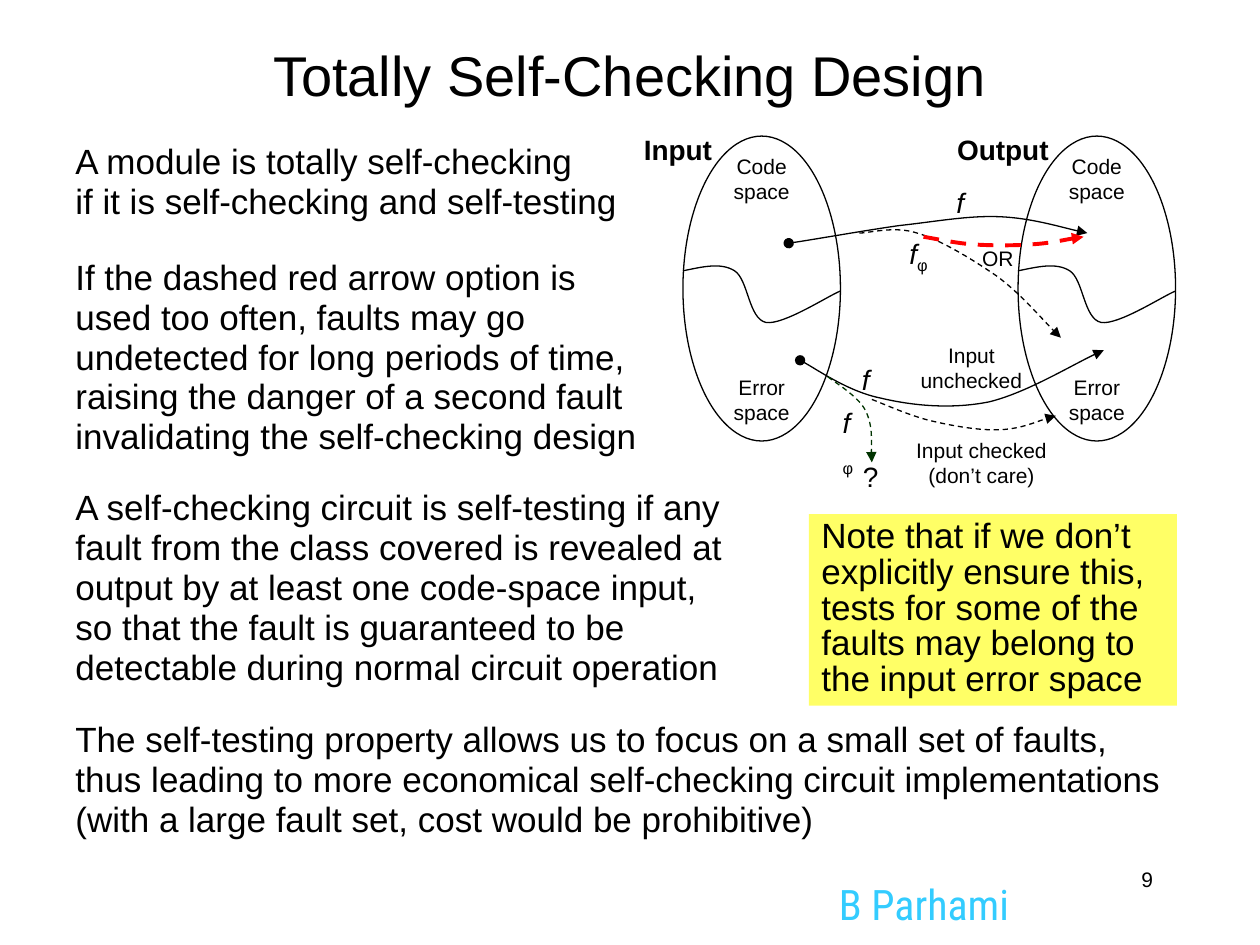
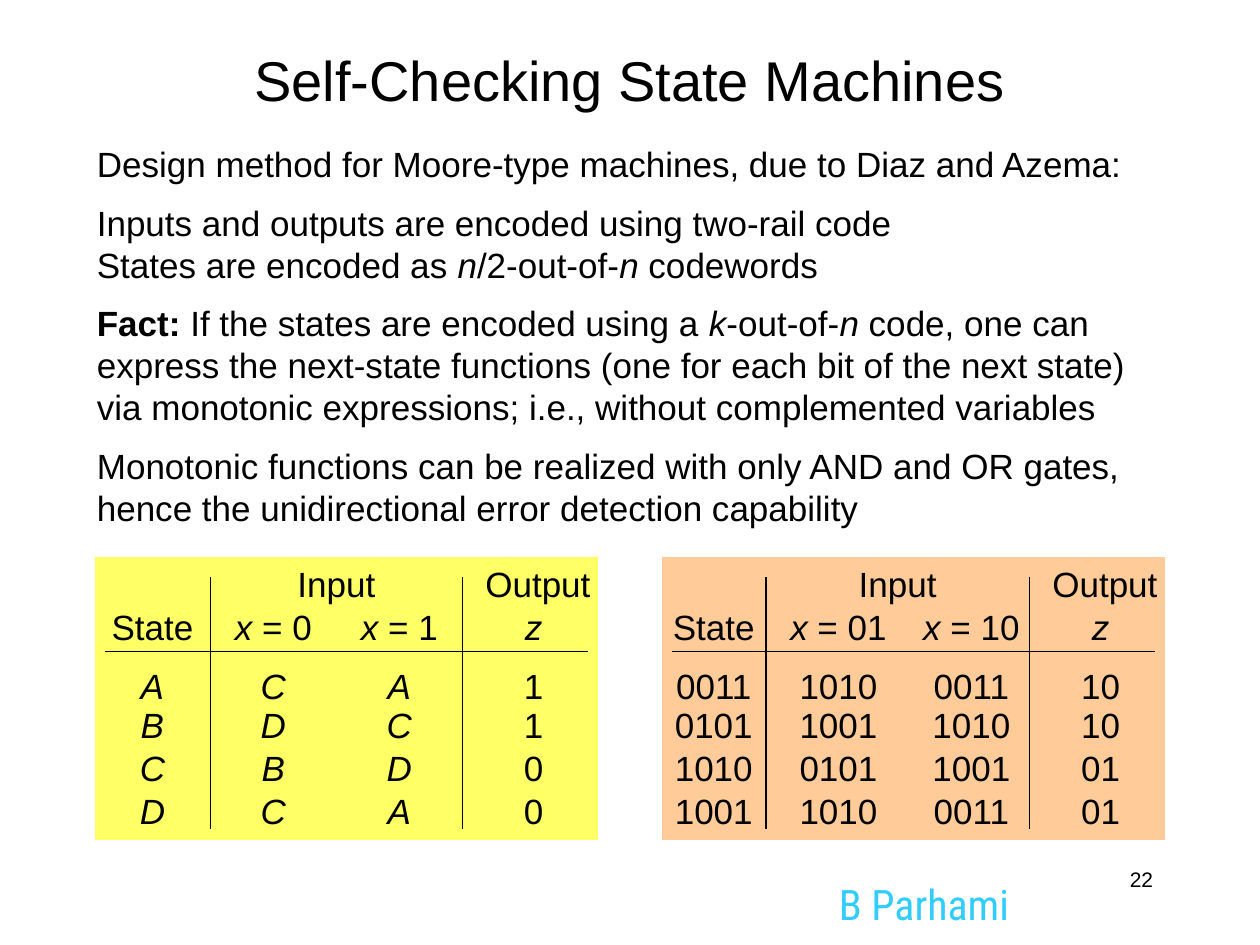
from pptx import Presentation
from pptx.dml.color import RGBColor
from pptx.enum.dml import MSO_LINE
from pptx.enum.shapes import MSO_CONNECTOR, MSO_SHAPE
from pptx.enum.text import MSO_ANCHOR, PP_ALIGN
from pptx.oxml.ns import qn
from pptx.util import Inches, Pt
from lxml.etree import SubElement

COLORS = {
    "ink": "000000", "paper": "FFFFFF", "footer": "33CCFF", "yellow": "FFFF66",
    "peach": "FFCC99", "red": "FF0000", "green": "003300",
}
FONT = "Arial"
ITALIC = {"italic": True}
BOLD = {"bold": True}
F_PHI = [("f", ITALIC), ("φ", {"baseline": "-25000"})]
PLAIN_TABLE = "{2D5ABB26-0587-4C30-8999-92F81FD0307C}"


def rgb(name):
    return RGBColor.from_string(COLORS[name])


def add_runs(p, content, size, color="ink", font=FONT):
    """Fill a paragraph from a string or a list of strings and (text, format) pairs."""
    for piece in [content] if isinstance(content, str) else content:
        text, extra = (piece, {}) if isinstance(piece, str) else piece
        r = p.add_run()
        r.text = text
        r.font.color.rgb = rgb(color)
        for name, value in {"size": Pt(size), "name": font, **extra}.items():
            if name == "baseline":
                r._r.get_or_add_rPr().set(name, value)
            else:
                setattr(r.font, name, value)


def write(sp, paragraphs, size=20, color="ink", font=FONT, wrap=True,
          anchor=MSO_ANCHOR.TOP, **para):
    """Put paragraphs in a shape; para holds paragraph format values."""
    tf = sp.text_frame
    tf.word_wrap = wrap
    tf.vertical_anchor = anchor
    for i, content in enumerate(paragraphs):
        p = tf.add_paragraph() if i else tf.paragraphs[0]
        for name, value in {"alignment": PP_ALIGN.LEFT, **para}.items():
            setattr(p, name, value)
        add_runs(p, content, size, color, font)
    return tf


def add_text(s, box, *paragraphs, **options):
    sp = s.shapes.add_textbox(*map(Inches, box))
    return write(sp, paragraphs, **options)


def add_block(s, kind, box, fill, outlined=False):
    sp = s.shapes.add_shape(kind, *map(Inches, box))
    sp.shadow.inherit = False
    sp.fill.solid()
    sp.fill.fore_color.rgb = rgb(fill)
    if outlined:
        sp.line.color.rgb = rgb("ink")
        sp.line.width = Pt(0.75)
    else:
        sp.line.fill.background()
    return sp


def add_curve(s, left, top, points, color="ink", width=0.75, dashed=False,
              head=None, tail=None):
    """Draw a Bezier chain: a start point, then three points for each curve."""
    points = [(Inches(left + x), Inches(top + y)) for x, y in points]
    builder = s.shapes.build_freeform(*points[0])
    builder.add_line_segments(points[1:], close=False)
    sp = builder.convert_to_shape()
    sp.shadow.inherit = False
    sp.fill.background()
    sp.line.color.rgb = rgb(color)
    sp.line.width = Pt(width)
    if dashed:
        sp.line.dash_style = MSO_LINE.DASH
    outline = sp.element.find(".//" + qn("a:path"))
    steps = outline.findall(qn("a:lnTo"))
    for i in range(0, len(steps), 3):
        bezier = SubElement(outline, qn("a:cubicBezTo"))
        for step in steps[i:i + 3]:
            bezier.append(step[0])
            outline.remove(step)
    ln = sp.element.find(".//" + qn("a:ln"))
    for tag, end in (("a:headEnd", head), ("a:tailEnd", tail)):
        if end:
            SubElement(ln, qn(tag)).set("type", end)


def add_rule(s, x1, y1, x2, y2):
    line = s.shapes.add_connector(MSO_CONNECTOR.STRAIGHT, *map(Inches, (x1, y1, x2, y2)))
    line.line.color.rgb = rgb("ink")
    line.line.width = Pt(0.75)
    SubElement(line.element.spPr, qn("a:effectLst"))


def start_slide(prs, title, title_height, number):
    """Add a slide with its title, author footer and page number."""
    s = prs.slides.add_slide(prs.slide_layouts[6])
    add_text(s, (6.56, 6.92, 1.9, 0.5), "B Parhami", size=24, color="footer",
             font="Roboto Condensed")
    add_text(s, (0.75, 0.25, 8.5, title_height), title, size=32,
             anchor=MSO_ANCHOR.MIDDLE, alignment=PP_ALIGN.CENTER)
    add_text(s, (7.17, 6.83, 2.08, 0.5), str(number), size=12,
             alignment=PP_ALIGN.RIGHT)
    return s


def add_space(s, left, top):
    """Draw an oval split into code space and error space."""
    add_block(s, MSO_SHAPE.OVAL, (left, top, 1.25, 2.42), "paper", outlined=True)
    add_curve(s, left, top, [
        (0, 1.07), (0.15, 1.04), (0.3, 1), (0.41, 1.07), (0.52, 1.14),
        (0.52, 1.45), (0.66, 1.48), (0.8, 1.5), (1.15, 1.27), (1.25, 1.23)])
    for label, y in (("Code space", 0.09), ("Error space", 1.84)):
        add_text(s, (left + 0.25, top + y, 0.75, 0.5), label, size=12,
                 alignment=PP_ALIGN.CENTER)


def add_mapping_diagram(s, left, top):
    """Show how f and its faulty version map input spaces to output spaces."""
    for x in (0.75, 3.41):
        add_space(s, left + x, top + 0.08)

    arrow = {"tail": "triangle"}
    normal = {"head": "oval", **arrow}
    faulty = {"dashed": True, **arrow}
    curves = [
        (normal, [(1.59, 0.93), (1.74, 0.91), (2.19, 0.83), (2.47, 0.79), (2.75, 0.76),
                  (3.01, 0.71), (3.26, 0.72), (3.51, 0.73), (3.81, 0.82), (3.96, 0.85)]),
        (faulty, [(2.15, 0.85), (2.23, 0.85), (2.43, 0.79), (2.61, 0.85), (2.79, 0.9),
                  (3.05, 1.06), (3.24, 1.19), (3.43, 1.33), (3.64, 1.58), (3.75, 1.68)]),
        ({"color": "red", "width": 2.25, **faulty},
         [(2.66, 0.88), (2.73, 0.89), (2.91, 0.93), (3.05, 0.94), (3.2, 0.95),
          (3.38, 0.95), (3.52, 0.94), (3.67, 0.93), (3.84, 0.89), (3.93, 0.88)]),
        (normal, [(1.68, 1.86), (1.78, 1.91), (2.07, 2.11), (2.32, 2.16), (2.57, 2.22),
                  (2.88, 2.25), (3.18, 2.19), (3.47, 2.12), (3.9, 1.86), (4.09, 1.78)]),
        (faulty, [(2.25, 2.17), (2.33, 2.2), (2.55, 2.3), (2.72, 2.34), (2.89, 2.38),
                  (3.11, 2.42), (3.28, 2.41), (3.44, 2.4), (3.62, 2.32), (3.71, 2.3)]),
        ({"color": "green", **faulty},
         [(1.9, 1.99), (1.95, 2.03), (2.15, 2.15), (2.2, 2.26),
          (2.26, 2.38), (2.24, 2.58), (2.25, 2.67)]),
    ]
    for style, points in curves:
        add_curve(s, left, top, points, **style)

    f = [("f", ITALIC)]
    labels = [
        (0, 0, 1.42, 0.37, [("Input", BOLD)], 16),
        (2.58, 0, 1.42, 0.37, [("Output", BOLD)], 16),
        (2.66, 0.42, 0.58, 0.37, f, 16),
        (2.33, 0.83, 0.58, 0.41, F_PHI, 16),
        (3, 0.9, 0.5, 0.3, "OR", 12),
        (2.44, 1.67, 1.2, 0.5, "Input unchecked", 12),
        (1.91, 1.83, 0.58, 0.37, f, 16),
        (2.41, 2.42, 1.42, 0.5, "Input checked (don’t care)", 12),
    ]
    for x, y, w, h, text, size in labels:
        add_text(s, (left + x, top + y, w, h), text, size=size,
                 alignment=PP_ALIGN.CENTER)
    add_text(s, (left + 1.92, top + 2.17, 0.33, 0.41), F_PHI, size=16)
    add_text(s, (left + 2.08, top + 2.6, 0.32, 0.37), "?", size=16, wrap=False)


def add_state_table(s, left, top, fill, widths, insets, inputs, rows, row_style):
    """Draw a state transition table on a coloured panel with thin rules."""
    heights = [0.38, 0.37, 0.44, 0.34, 0.34, 0.38]
    anchors = [MSO_ANCHOR.BOTTOM, MSO_ANCHOR.MIDDLE, MSO_ANCHOR.BOTTOM] + [MSO_ANCHOR.TOP] * 3
    width, height = sum(widths), sum(heights)
    frame = s.shapes.add_table(len(heights), len(widths),
                               *map(Inches, (left, top, width, height)))
    frame.element.find(".//" + qn("a:tableStyleId")).text = PLAIN_TABLE
    table = frame.table
    table.first_row = table.horz_banding = False
    for column, w in zip(table.columns, widths):
        column.width = Inches(w)
    for row, h in zip(table.rows, heights):
        row.height = Inches(h)

    header = ["State", *([("x", ITALIC), f" = {value}"] for value in inputs),
              [("z", ITALIC)]]
    body = [[*([(text, row_style)] for text in row[:-1]), row[-1]] for row in rows]
    for i, contents in enumerate([["", "Input", "", "Output"], header, *body]):
        for j, content in enumerate(contents):
            cell = table.cell(i, j)
            cell.fill.solid()
            cell.fill.fore_color.rgb = rgb(fill)
            cell.margin_top = cell.margin_bottom = cell.margin_right = 0
            cell.margin_left = Inches(insets[j] if i else (0, 0, 0, 0.12)[j])
            cell.vertical_anchor = anchors[i]
            p = cell.text_frame.paragraphs[0]
            p.alignment = PP_ALIGN.CENTER
            add_runs(p, content, 20)
    table.cell(0, 1).merge(table.cell(0, 2))

    add_rule(s, left + 0.08, top + 0.75, left + width - 0.08, top + 0.75)
    for x in (left + widths[0], left + width - widths[-1]):
        add_rule(s, x, top + 0.16, x, top + 2.16)


def build_design_slide(prs):
    s = start_slide(prs, "Totally Self-Checking Design", 0.67, 9)
    passages = [
        (1.08, 4.5, 0.74, ["A module is totally self-checking",
                           "if it is self-checking and self-testing"]),
        (2, 4.67, 1.69, ["If the dashed red arrow option is used too often, faults may go "
                         "undetected for long periods of time, raising the danger of a "
                         "second fault invalidating the self-checking design"]),
        (3.83, 5.38, 1.69, ["A self-checking circuit is self-testing if any fault from the "
                            "class covered is revealed at output by at least one code-space "
                            "input, so that the fault is guaranteed to be detectable during "
                            "normal circuit operation"]),
        (5.67, 8.83, 1.05, ["The self-testing property allows us to focus on a small set of "
                            "faults, thus leading to more economical self-checking circuit "
                            "implementations",
                            "(with a large fault set, cost would be prohibitive)"]),
    ]
    for top, width, height, paragraphs in passages:
        add_text(s, (0.5, top, width, height), *paragraphs, line_spacing=0.95)
    add_mapping_diagram(s, 4.67, 1)
    note = add_block(s, MSO_SHAPE.RECTANGLE, (6.42, 4.08, 2.92, 1.52), "yellow")
    write(note, ["Note that if we don’t explicitly ensure this, tests for some of the "
                 "faults may belong to the input error space"], line_spacing=0.85)


def build_machines_slide(prs):
    s = start_slide(prs, "Self-Checking State Machines", 0.75, 22)
    n = ("n", ITALIC)
    tf = add_text(
        s, (0.67, 1.08, 8.58, 3.17),
        "Design method for Moore-type machines, due to Diaz and Azema:",
        "Inputs and outputs are encoded using two-rail code",
        ["States are encoded as ", n, "/2-out-of-", n, " codewords"],
        [("Fact:", BOLD), " If the states are encoded using a ", ("k", ITALIC),
         "-out-of-", n, " code, one can express the next-state functions (one for each "
         "bit of the next state) via monotonic expressions; i.e., without complemented "
         "variables"],
        "Monotonic functions can be realized with only AND and OR gates, hence the "
        "unidirectional error detection capability")
    for i in (1, 3, 4):
        tf.paragraphs[i].space_before = Pt(9.6)

    symbolic = [("A", "C", "A", "1"), ("B", "D", "C", "1"),
                ("C", "B", "D", "0"), ("D", "C", "A", "0")]
    codes = {"A": "0011", "B": "0101", "C": "1010", "D": "1001", "1": "10", "0": "01"}
    encoded = [[codes[symbol] for symbol in row] for row in symbolic]
    add_state_table(s, 0.75, 4.42, "yellow", [0.92, 1, 1, 1.08], [0, 0, 0, 0.05],
                    ("0", "1"), symbolic, ITALIC)
    add_state_table(s, 5.25, 4.42, "peach", [0.83, 1.05, 1.04, 1.08], [0, 0.1, 0.12, 0.05],
                    ("01", "10"), encoded, {})


def main():
    prs = Presentation()
    prs.slide_width, prs.slide_height = Inches(10), Inches(7.5)
    build_design_slide(prs)
    build_machines_slide(prs)
    prs.save("out.pptx")


if __name__ == "__main__":
    main()
